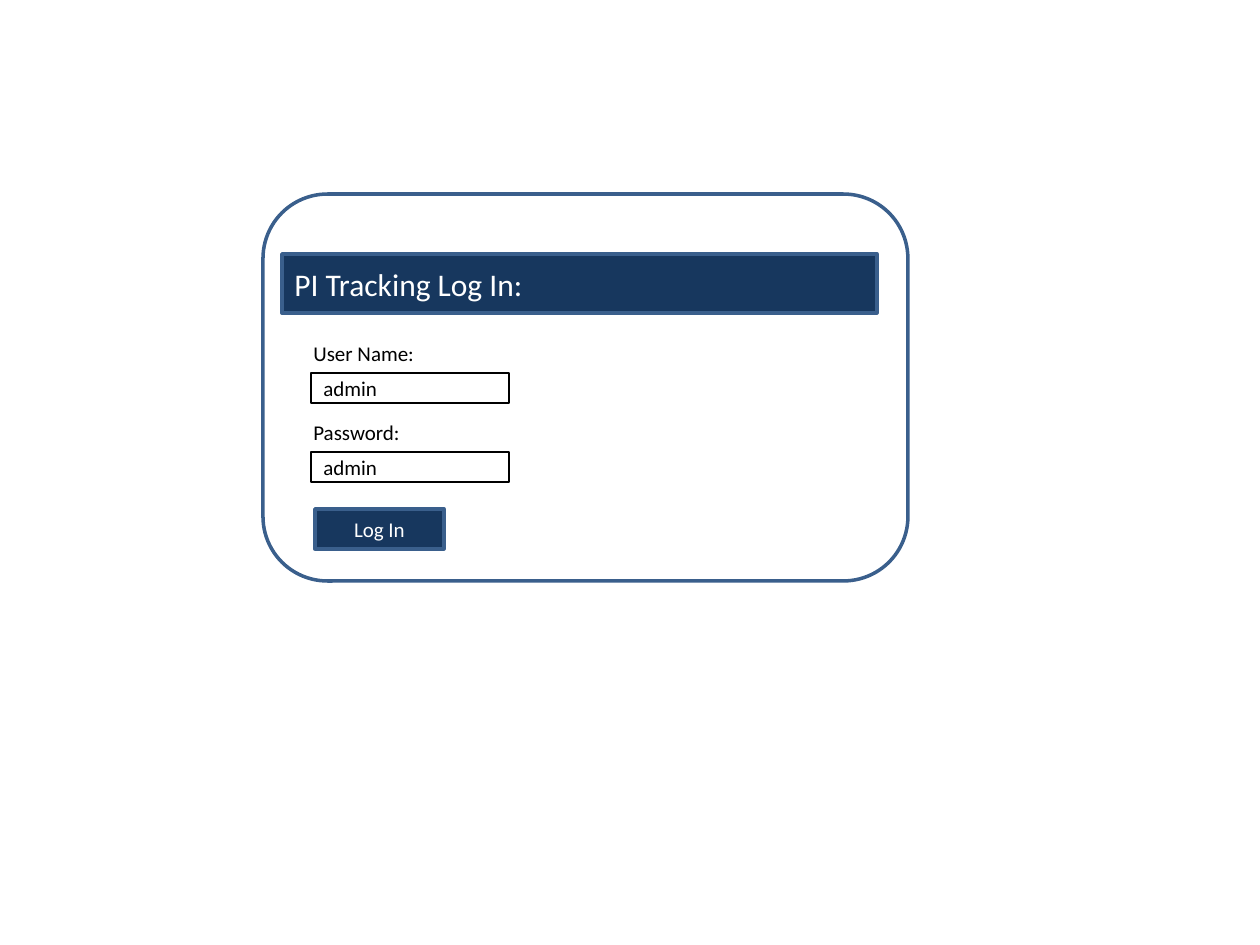
import pptx
import pptx.util
import pptx.dml.color
import pptx.enum.shapes
import pptx.enum.text

PIXEL = 914400 // 126
SLIDE_SIZE = (1260, 945)
NAVY, STEEL, BLACK, WHITE = "17375E", "3A5F8C", "000000", "FFFFFF"
RECT = pptx.enum.shapes.MSO_SHAPE.RECTANGLE
ROUNDED = pptx.enum.shapes.MSO_SHAPE.ROUNDED_RECTANGLE
LEFT, CENTER = pptx.enum.text.PP_ALIGN.LEFT, pptx.enum.text.PP_ALIGN.CENTER

PANEL = (263, 194, 645, 387)
TITLE = ("PI Tracking Log In:", (282, 254, 595, 59))
BUTTON = ("Log In", (315, 509, 129, 40))
CREDENTIALS = [("User Name:", "admin"), ("Password:", "admin")]
LABEL_BOX = (301, 334, 189, 38)
ENTRY_BOX = (311, 373, 198, 30)
ROW_STEP = 79

FRAME_FORMAT = {
    "word_wrap": True,
    "vertical_anchor": pptx.enum.text.MSO_ANCHOR.MIDDLE,
    "margin_top": 0,
    "margin_bottom": 0,
}


def rgb(value):
    """Turn a hex string into a colour."""
    return pptx.dml.color.RGBColor.from_string(value)


def emu(box):
    """Turn pixel lengths into EMU."""
    return [pptx.util.Emu(length * PIXEL) for length in box]


def write(part, text, color, size=12, align=LEFT):
    """Put one line of formatted text into a part."""
    for key, value in FRAME_FORMAT.items():
        setattr(part.text_frame, key, value)
    paragraph = part.text_frame.paragraphs[0]
    paragraph.alignment = align
    run = paragraph.add_run()
    run.text = text
    font_format = {"name": "Calibri", "size": pptx.util.Pt(size)}
    for key, value in font_format.items():
        setattr(run.font, key, value)
    run.font.color.rgb = rgb(color)


def add_box(slide, box, line, width, fill=None, preset=RECT):
    """Add an outlined shape, filled only when a fill is given."""
    part = slide.shapes.add_shape(preset, *emu(box))
    part.shadow.inherit = False
    part.line.color.rgb = rgb(line)
    part.line.width = pptx.util.Pt(width)
    if fill:
        part.fill.solid()
        part.fill.fore_color.rgb = rgb(fill)
    else:
        part.fill.background()
    return part


def add_credential(slide, row, label, entry):
    """Add a label with its entry field on the given row."""
    label_box, entry_box = [
        (left, top + row * ROW_STEP, width, height)
        for left, top, width, height in (LABEL_BOX, ENTRY_BOX)
    ]
    write(slide.shapes.add_textbox(*emu(label_box)), label, BLACK)
    write(add_box(slide, entry_box, BLACK, 0.75), entry, BLACK)


def build():
    """Build and save the log-in slide."""
    deck = pptx.Presentation()
    deck.slide_width, deck.slide_height = emu(SLIDE_SIZE)
    slide = deck.slides.add_slide(deck.slide_layouts[6])
    add_box(slide, PANEL, STEEL, 2, preset=ROUNDED)
    title, title_box = TITLE
    write(add_box(slide, title_box, STEEL, 2, NAVY), title, WHITE, size=18)
    for row, (label, entry) in enumerate(CREDENTIALS):
        add_credential(slide, row, label, entry)
    action, button_box = BUTTON
    write(add_box(slide, button_box, STEEL, 2, NAVY), action, WHITE, align=CENTER)
    deck.save("out.pptx")


build()
